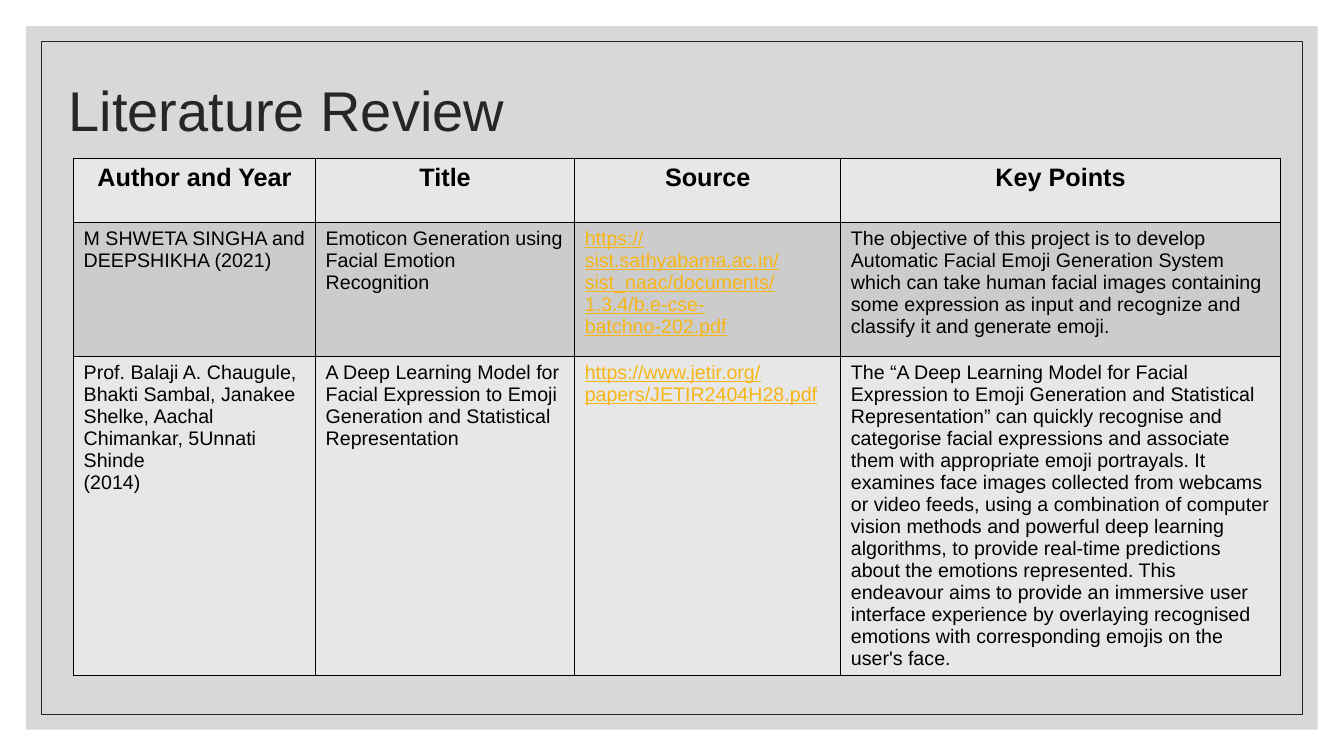
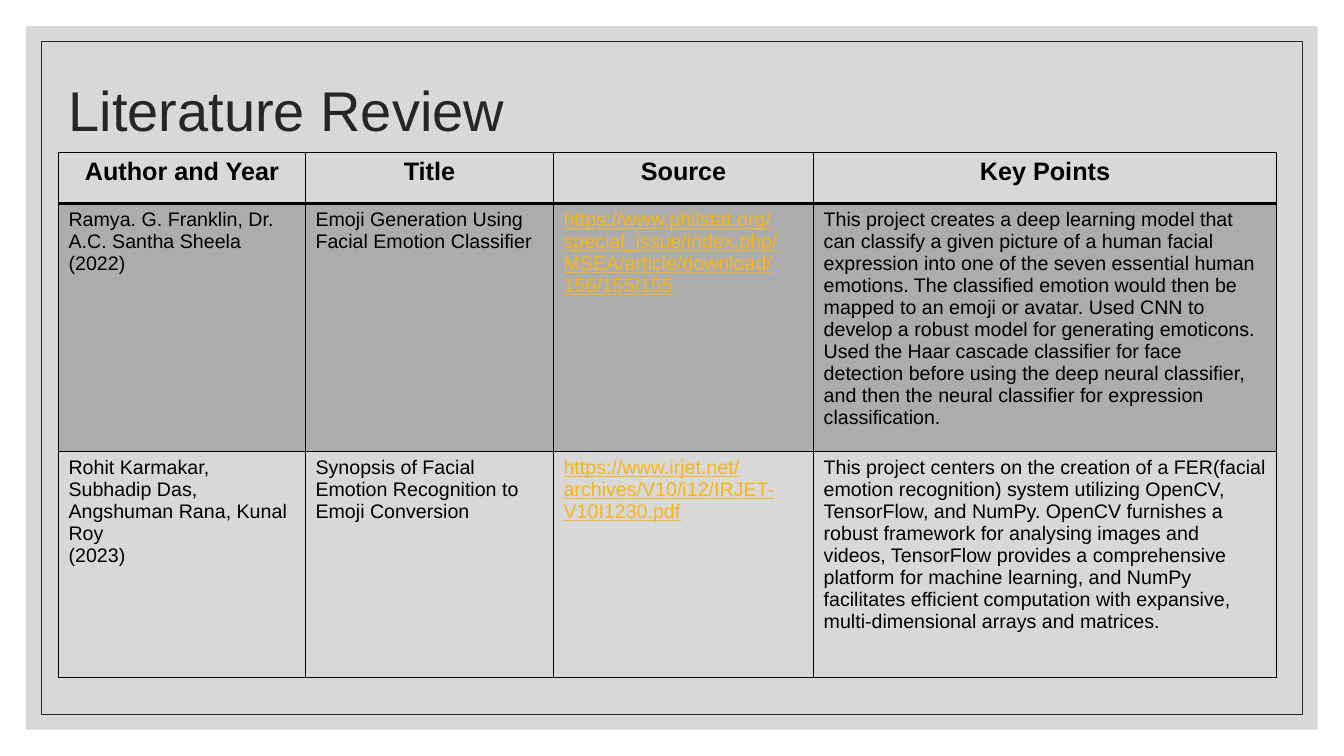
"""Build two literature review slides that share a framed layout and a table style."""

from dataclasses import dataclass
from typing import Any

from lxml.etree import SubElement
from pptx import Presentation
from pptx.dml.color import RGBColor
from pptx.dml.fill import FillFormat
from pptx.enum.shapes import MSO_SHAPE
from pptx.enum.text import MSO_ANCHOR, MSO_AUTO_SIZE, PP_ALIGN
from pptx.oxml.ns import qn
from pptx.slide import Slide, SlideLayout
from pptx.table import _Cell
from pptx.util import Inches, Pt

BLACK = RGBColor(0x00, 0x00, 0x00)
CHARCOAL = RGBColor(0x26, 0x26, 0x26)
SILVER = RGBColor(0xBF, 0xBF, 0xBF)
PALE_GREY = RGBColor(0xE7, 0xE7, 0xE7)
MID_GREY = RGBColor(0xCC, 0xCC, 0xCC)
AMBER = RGBColor(0xF7, 0xB6, 0x15)

TITLE_FONT = {"name": "Arial", "size": Pt(40), "bold": False}
HEADER_FONT = {"name": "Arial", "size": Pt(18), "bold": True}
BODY_FONT = {"name": "Arial", "size": Pt(14), "bold": False, "underline": False}
LINK_FONT = BODY_FONT | {"underline": True}
TITLE_FRAME = {
    "vertical_anchor": MSO_ANCHOR.MIDDLE,
    "word_wrap": True,
    "auto_size": MSO_AUTO_SIZE.NONE,
}
TITLE_PARA = {"alignment": PP_ALIGN.LEFT, "line_spacing": 0.9}

TITLE = "Literature Review"
HEADINGS = ("Author and Year", "Title", "Source", "Key Points")
SOURCE_COLUMN = HEADINGS.index("Source")


@dataclass(frozen=True)
class Paint:
    """A fill colour with its opacity in percent."""

    color: RGBColor
    opacity: int = 100


@dataclass(frozen=True)
class Frame:
    """A rectangle of the page frame, inset equally from every page edge."""

    inset: float
    paint: Paint | None = None
    line: RGBColor | None = None


@dataclass(frozen=True)
class Paper:
    """One reviewed paper, as a table row."""

    author: str
    title: str
    source: str
    key_points: str

    def cells(self) -> tuple[str, ...]:
        """Return the texts in column order."""
        return self.author, self.title, self.source, self.key_points


@dataclass(frozen=True)
class Review:
    """The table of one slide."""

    left: float
    top: float
    columns: tuple[float, ...]
    rows: tuple[float, ...]
    plain: Paint | None
    band: Paint
    header_rule: float
    papers: tuple[Paper, ...]


FRAMES = (
    Frame(0.26, paint=Paint(SILVER, 60)),
    Frame(0.41, line=CHARCOAL),
)

REVIEWS = (
    Review(
        0.73, 1.57, (2.4, 2.57, 2.64, 4.36), (0.64, 1.33, 3.15),
        Paint(PALE_GREY), Paint(MID_GREY), 1,
        (
            Paper(
                "M SHWETA SINGHA and DEEPSHIKHA (2021)",
                "Emoticon Generation using Facial Emotion Recognition",
                "https://sist.sathyabama.ac.in/sist_naac/documents/1.3.4/"
                "b.e-cse-batchno-202.pdf",
                "The objective of this project is to develop Automatic Facial Emoji "
                "Generation System which can take human facial images containing some "
                "expression as input and recognize and classify it and generate emoji.",
            ),
            Paper(
                "Prof. Balaji A. Chaugule, Bhakti Sambal, Janakee Shelke, "
                "Aachal Chimankar, 5Unnati Shinde\n(2014)",
                "A Deep Learning Model for Facial Expression to Emoji Generation "
                "and Statistical Representation",
                "https://www.jetir.org/papers/JETIR2404H28.pdf",
                "The “A Deep Learning Model for Facial Expression to Emoji Generation "
                "and Statistical Representation” can quickly recognise and categorise "
                "facial expressions and associate them with appropriate emoji "
                "portrayals. It examines face images collected from webcams or video "
                "feeds, using a combination of computer vision methods and powerful "
                "deep learning algorithms, to provide real-time predictions about the "
                "emotions represented. This endeavour aims to provide an immersive "
                "user interface experience by overlaying recognised emotions with "
                "corresponding emojis on the user's face.",
            ),
        ),
    ),
    Review(
        0.58, 1.51, (2.45, 2.46, 2.58, 4.59), (0.51, 2.46, 2.24),
        None, Paint(BLACK, 20), 2,
        (
            Paper(
                "Ramya. G. Franklin, Dr. A.C. Santha Sheela\n(2022)",
                "Emoji Generation Using Facial Emotion Classifier",
                "https://www.philstat.org/special_issue/index.php/MSEA/article/"
                "download/156/155/155",
                "This project creates a deep learning model that can classify a given "
                "picture of a human facial expression into one of the seven essential "
                "human emotions. The classified emotion would then be mapped to an "
                "emoji or avatar. Used CNN to develop a robust model for generating "
                "emoticons. Used the Haar cascade classifier for face detection before "
                "using the deep neural classifier, and then the neural classifier for "
                "expression classification.",
            ),
            Paper(
                "Rohit Karmakar, Subhadip Das, Angshuman Rana, Kunal Roy\n(2023)",
                "Synopsis of Facial Emotion Recognition to Emoji Conversion",
                "https://www.irjet.net/archives/V10/i12/IRJET-V10I1230.pdf",
                "This project centers on the creation of a FER(facial emotion "
                "recognition) system utilizing OpenCV, TensorFlow, and NumPy. OpenCV "
                "furnishes a robust framework for analysing images and videos, "
                "TensorFlow provides a comprehensive platform for machine learning, "
                "and NumPy facilitates efficient computation with expansive, "
                "multi-dimensional arrays and matrices.",
            ),
        ),
    ),
)


def set_attributes(target: Any, values: dict[str, Any]) -> None:
    """Set each named attribute of the target."""
    for name, value in values.items():
        setattr(target, name, value)


def apply_paint(fill: FillFormat, properties: Any, paint: Paint | None) -> None:
    """Fill a shape or cell, whose properties element holds the fill."""
    if paint is None:
        fill.background()
        return
    fill.solid()
    fill.fore_color.rgb = paint.color
    if paint.opacity < 100:
        color = properties.find(qn("a:solidFill")).find(qn("a:srgbClr"))
        SubElement(color, qn("a:alpha"), val=str(paint.opacity * 1000))


def add_frames(page: Slide, layout: SlideLayout, width: int, height: int) -> None:
    """Draw the frame and hand it to the layout, behind its placeholders."""
    tree = layout.element.cSld.spTree
    for order, frame in enumerate(FRAMES):
        inset = Inches(frame.inset)
        box = page.shapes.add_shape(
            MSO_SHAPE.RECTANGLE, inset, inset, width - 2 * inset, height - 2 * inset
        )
        box.shadow.inherit = False
        apply_paint(box.fill, box.element.spPr, frame.paint)
        if frame.line is None:
            box.line.fill.background()
        else:
            box.line.color.rgb = frame.line
            box.line.width = Pt(0.5)
        box.element.nvSpPr.cNvPr.set("id", str(100 + order))
        tree.insert(2 + order, box.element)


def add_title(page: Slide) -> None:
    """Place and format the title."""
    box = page.shapes.title
    box.left, box.top = Inches(0.58), Inches(0.52)
    box.width, box.height = Inches(11), Inches(1.21)
    set_attributes(box.text_frame, TITLE_FRAME)
    box.text_frame.text = TITLE
    para = box.text_frame.paragraphs[0]
    set_attributes(para, TITLE_PARA)
    for span in para.runs:
        set_attributes(span.font, TITLE_FONT)
        span.font.color.rgb = CHARCOAL


def add_borders(cell: _Cell, widths: dict[str, float]) -> None:
    """Draw the cell borders, given in points by side."""
    properties = cell._tc.get_or_add_tcPr()
    for order, (side, width) in enumerate(widths.items()):
        line = SubElement(properties, qn(f"a:ln{side}"), w=str(Pt(width)))
        solid = SubElement(line, qn("a:solidFill"))
        SubElement(solid, qn("a:srgbClr"), val=str(BLACK))
        properties.insert(order, line)


def write_cell(
    cell: _Cell, text: str, font: dict[str, Any], color: RGBColor, align: PP_ALIGN
) -> None:
    """Write the cell text, one paragraph a line."""
    cell.text_frame.text = text
    for para in cell.text_frame.paragraphs:
        para.alignment = align
        for span in para.runs:
            set_attributes(span.font, font)
            span.font.color.rgb = color


def add_review(page: Slide, review: Review) -> None:
    """Draw the table of reviewed papers."""
    table = page.shapes.add_table(
        len(review.rows), len(review.columns),
        Inches(review.left), Inches(review.top),
        Inches(sum(review.columns)), Inches(sum(review.rows)),
    ).table
    table.horz_banding = False
    for column, width in zip(table.columns, review.columns):
        column.width = Inches(width)
    for row, height in zip(table.rows, review.rows):
        row.height = Inches(height)
    lines = (HEADINGS, *(paper.cells() for paper in review.papers))
    for row_index, texts in enumerate(lines):
        for column_index, text in enumerate(texts):
            cell = table.cell(row_index, column_index)
            if row_index == 0:
                write_cell(cell, text, HEADER_FONT, BLACK, PP_ALIGN.CENTER)
            elif column_index == SOURCE_COLUMN:
                write_cell(cell, text, LINK_FONT, AMBER, PP_ALIGN.LEFT)
            else:
                write_cell(cell, text, BODY_FONT, BLACK, PP_ALIGN.LEFT)
            paint = review.band if row_index % 2 else review.plain
            apply_paint(cell.fill, cell._tc.get_or_add_tcPr(), paint)
            top = review.header_rule if row_index == 1 else 1
            bottom = review.header_rule if row_index == 0 else 1
            add_borders(cell, {"L": 1, "R": 1, "T": top, "B": bottom})


def main() -> None:
    """Build and save the deck."""
    deck = Presentation()
    deck.slide_width, deck.slide_height = Inches(13.33), Inches(7.5)
    layout = deck.slide_layouts.get_by_name("Title Only")
    for index, review in enumerate(REVIEWS):
        page = deck.slides.add_slide(layout)
        if index == 0:
            add_frames(page, layout, deck.slide_width, deck.slide_height)
        add_title(page)
        add_review(page, review)
    deck.save("out.pptx")


if __name__ == "__main__":
    main()
